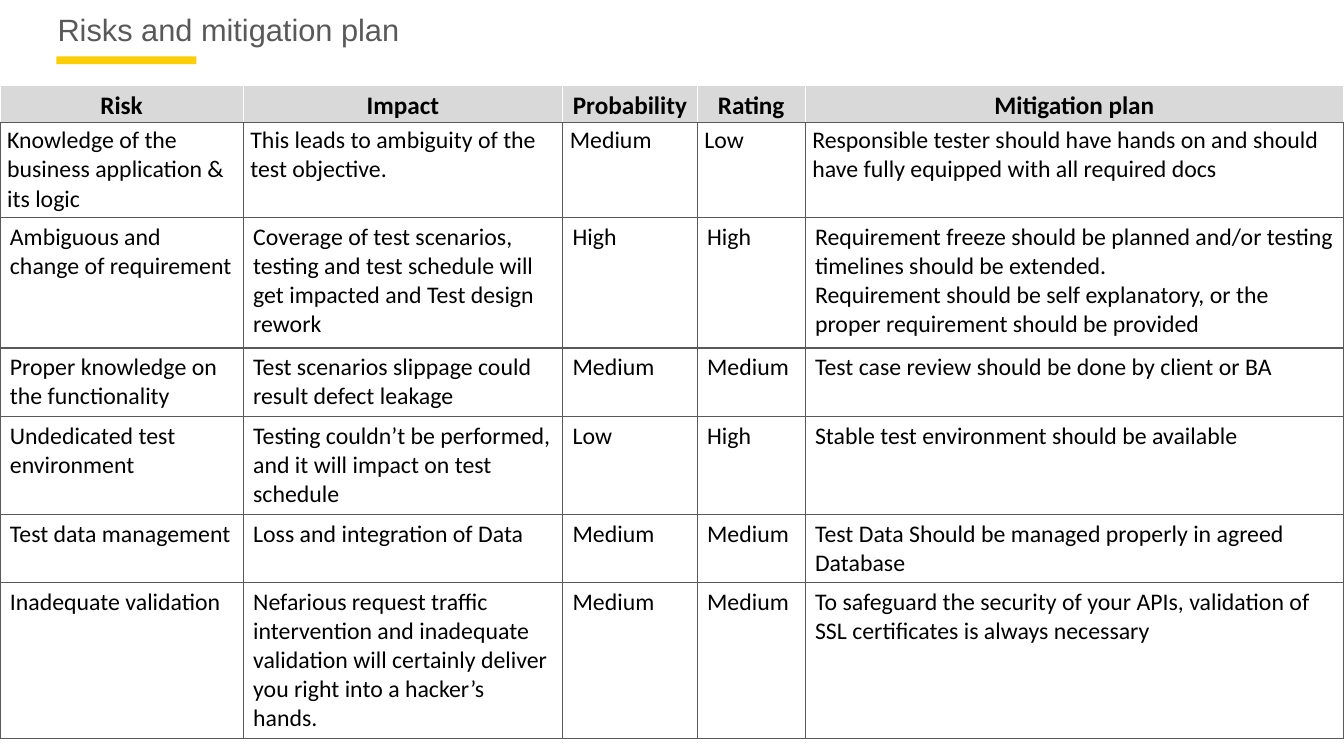
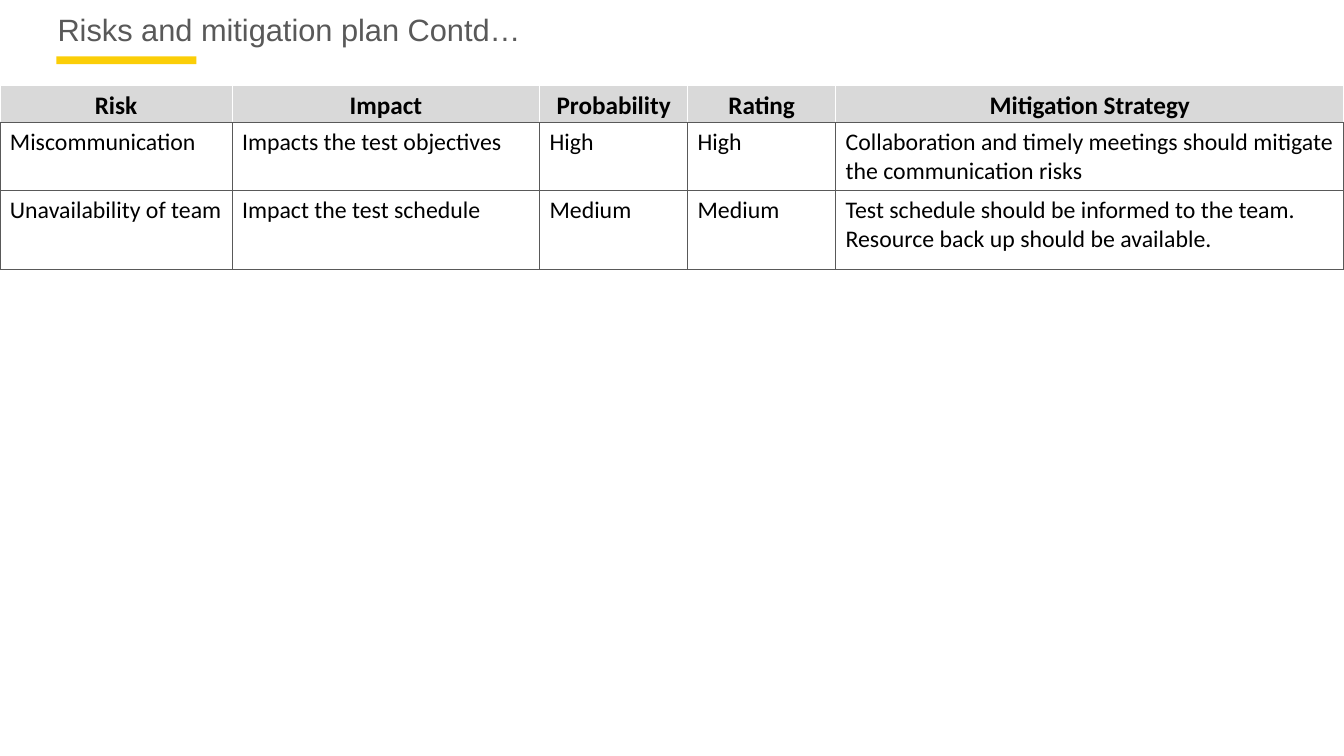
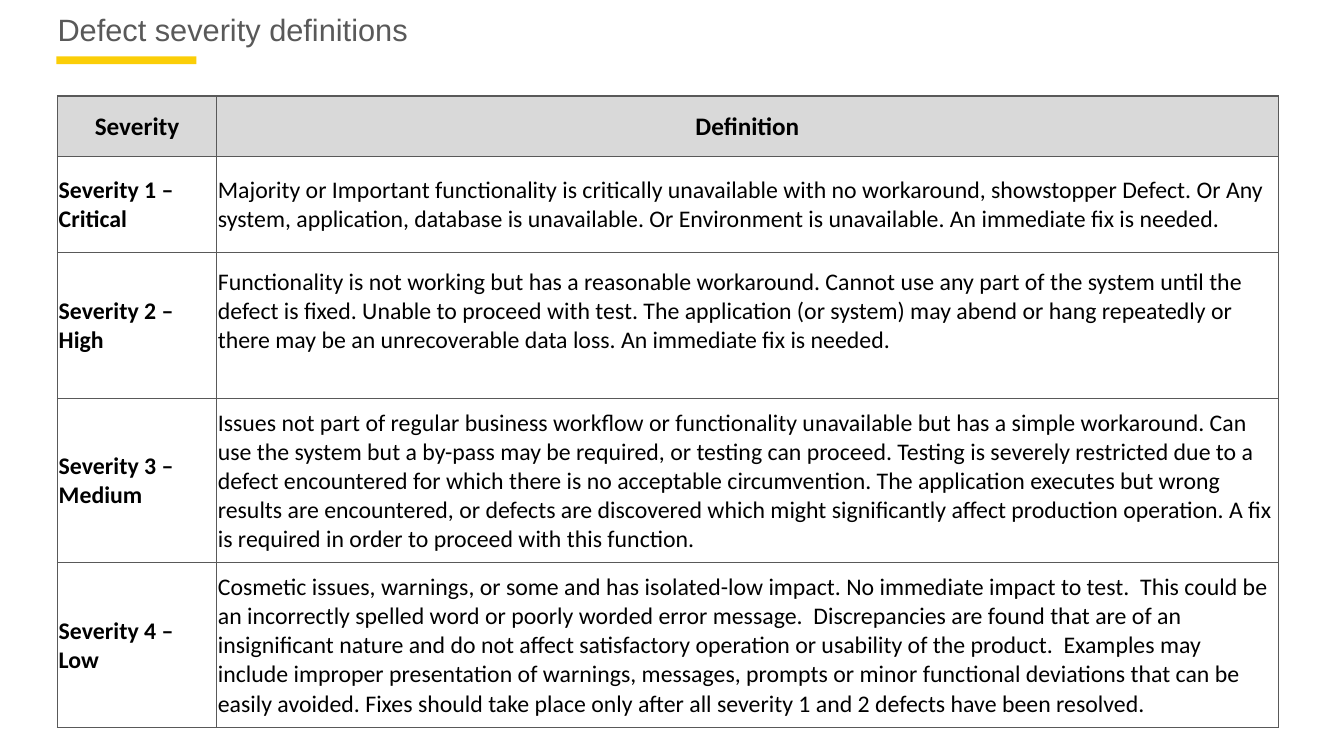
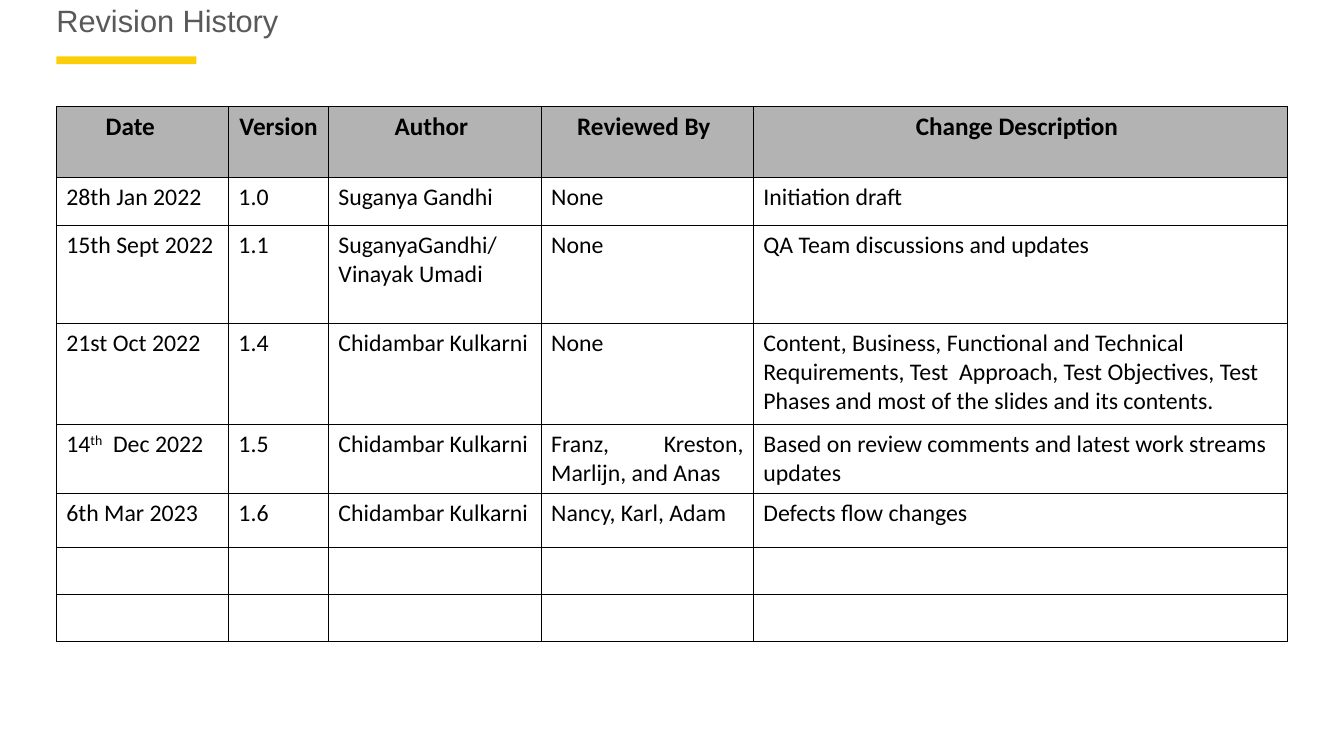
from lxml import etree
from pptx import Presentation
from pptx.dml.color import RGBColor
from pptx.enum import shapes, text
from pptx.oxml import ns
from pptx.util import Cm, Pt

COLOURS = {
    "accent": "FBCE07",
    "title": "595959",
    "ink": "000000",
    "rule": "595959",
    "paper": "FFFFFF",
    "header": "D9D9D9",
    "history header": "B3B3B3",
}
LEFT, CENTRE, JUSTIFY = text.PP_ALIGN.LEFT, text.PP_ALIGN.CENTER, text.PP_ALIGN.JUSTIFY
TOP, MIDDLE = text.MSO_ANCHOR.TOP, text.MSO_ANCHOR.MIDDLE

ACCENT_BOX = (1.42, 1.42, 3.53, 0.2)
TITLE_BOX = (1.45, 0.28, 22.48, 0.94)
DEFAULT_INSETS = (0.25, 0.13, 0.25, 0.13)
SEVERITY_INSETS = (0.03, 0.03, 0.03, 0)

RISK_LOOK = {
    "at": (0, 2.16),
    "header_insets": (0.15, 0, 0.15, 0),
    "header_spacing": 1.15,
    "header_rule": "paper",
}

SLIDES = [
    {
        "title": "Risks and mitigation plan",
        **RISK_LOOK,
        "columns": [6.13, 8.05, 3.39, 2.72, 13.57],
        "heights": [0.92, 2.39, 3.29, 1.71, 2.46, 1.72, 3.93],
        "row_insets": {1: (0.18, 0.1, 0.18, 0.1)},
        "rows": [
            ["Risk", "Impact", "Probability", "Rating", "Mitigation plan"],
            ["Knowledge of the business application & its logic",
             "This leads to ambiguity of the test objective.", "Medium", "Low",
             "Responsible tester should have hands on and should have fully equipped "
             "with all required docs"],
            ["Ambiguous and change of requirement",
             "Coverage of test scenarios, testing and test schedule will get impacted "
             "and Test design rework", "High", "High",
             "Requirement freeze should be planned and/or testing timelines should be "
             "extended.\nRequirement should be self explanatory, or the proper "
             "requirement should be provided"],
            ["Proper knowledge on the functionality",
             "Test scenarios slippage could result defect leakage", "Medium", "Medium",
             "Test case review should be done by client or BA"],
            ["Undedicated test environment",
             "Testing couldn’t be performed, and it will impact on test schedule",
             "Low", "High", "Stable test environment should be available"],
            ["Test data management", "Loss and integration of Data", "Medium", "Medium",
             "Test Data Should be managed properly in agreed Database"],
            ["Inadequate validation",
             "Nefarious request traffic intervention and inadequate validation will "
             "certainly deliver you right into a hacker’s hands.", "Medium", "Medium",
             "To safeguard the security of your APIs, validation of SSL certificates is "
             "always necessary"],
        ],
    },
    {
        "title": "Risks and mitigation plan Contd…",
        **RISK_LOOK,
        "columns": [5.85, 7.75, 3.73, 3.73, 12.81],
        "heights": [0.92, 1.72, 1.98],
        "rows": [
            ["Risk", "Impact", "Probability", "Rating", "Mitigation Strategy"],
            ["Miscommunication", "Impacts the test objectives", "High", "High",
             "Collaboration and timely meetings should mitigate the communication risks"],
            ["Unavailability of team", "Impact the test schedule", "Medium", "Medium",
             "Test schedule should be informed to the team. Resource back up should be "
             "available."],
        ],
    },
    {
        "title": "Defect severity definitions",
        "at": (1.45, 2.42),
        "columns": [4.01, 26.75],
        "heights": [1.52, 2.42, 3.68, 4.14, 4.15],
        "insets": SEVERITY_INSETS,
        "header_insets": SEVERITY_INSETS,
        "cell_insets": {(2, 1): (0.03, 0.03, 0.03, 0.74)},
        "anchor": MIDDLE,
        "bold_first": True,
        "rows": [
            ["Severity", "Definition"],
            ["Severity 1 – Critical",
             "Majority or Important functionality is critically unavailable with no "
             "workaround, showstopper Defect. Or Any system, application, database is "
             "unavailable. Or Environment is unavailable. An immediate fix is needed."],
            ["Severity 2 – High",
             "Functionality is not working but has a reasonable workaround. Cannot use "
             "any part of the system until the defect is fixed. Unable to proceed with "
             "test. The application (or system) may abend or hang repeatedly or there "
             "may be an unrecoverable data loss. An immediate fix is needed."],
            ["Severity 3 – Medium",
             "Issues not part of regular business workflow or functionality unavailable "
             "but has a simple workaround. Can use the system but a by-pass may be "
             "required, or testing can proceed. Testing is severely restricted due to a "
             "defect encountered for which there is no acceptable circumvention. The "
             "application executes but wrong results are encountered, or defects are "
             "discovered which might significantly affect production operation. A fix "
             "is required in order to proceed with this function."],
            ["Severity 4 – Low",
             "Cosmetic issues, warnings, or some and has isolated-low impact. No "
             "immediate impact to test.  This could be an incorrectly spelled word or "
             "poorly worded error message.  Discrepancies are found that are of an "
             "insignificant nature and do not affect satisfactory operation or "
             "usability of the product.  Examples may include improper presentation of "
             "warnings, messages, prompts or minor functional deviations that can be "
             "easily avoided. Fixes should take place only after all severity 1 and 2 "
             "defects have been resolved."],
        ],
    },
    {
        "title": "Revision History",
        "title_box": (1.42, 0.05, 31.04, 1.22),
        "at": (1.42, 2.68),
        "columns": [4.34, 2.52, 5.36, 5.35, 13.46],
        "heights": [1.79, 1.22, 2.46, 2.55, 1.73, 1.37, 1.18, 1.18],
        "header_insets": (0.25, 0.13, 0.43, 0.13),
        "cell_insets": {(0, 0): (0.25, 0.13, 0.86, 0.13), (0, 1): (0.13, 0.13, 0.13, 0.13)},
        "header_fill": "history header",
        "rule": "ink",
        "rule_width": 0.5,
        "aligns": [JUSTIFY] * 4 + [LEFT],
        "rows": [
            ["Date", "Version", "Author", "Reviewed By", "Change Description"],
            ["28th Jan 2022", "1.0", "Suganya Gandhi", "None", "Initiation draft"],
            ["15th Sept 2022", "1.1", "SuganyaGandhi/ Vinayak Umadi", "None",
             "QA Team discussions and updates"],
            ["21st Oct 2022", "1.4", "Chidambar Kulkarni", "None",
             "Content, Business, Functional and Technical Requirements, Test  Approach, "
             "Test Objectives, Test Phases and most of the slides and its contents."],
            ["14^th^  Dec 2022", "1.5", "Chidambar Kulkarni",
             "Franz, Kreston, Marlijn, and Anas",
             "Based on review comments and latest work streams updates"],
            ["6th Mar 2023", "1.6", "Chidambar Kulkarni", "Nancy, Karl, Adam",
             "Defects flow changes"],
            [""] * 5,
            [""] * 5,
        ],
    },
]


def rgb(name):
    return RGBColor.from_string(COLOURS[name])


def place(part, box):
    part.left, part.top, part.width, part.height = map(Cm, box)


def write(frame, words, size=17, font="Calibri", colour="ink", bold=False,
          align=LEFT, spacing=None):
    for number, line in enumerate(words.split("\n")):
        paragraph = frame.add_paragraph() if number else frame.paragraphs[0]
        paragraph.alignment = align
        if spacing:
            paragraph.line_spacing = spacing
        paragraph.font.size = Pt(size)
        for index, piece in enumerate(line.split("^")):
            if not piece:
                continue
            run = paragraph.add_run()
            run.text = piece
            run.font.size, run.font.name, run.font.bold = Pt(size), font, bold
            run.font.color.rgb = rgb(colour)
            if index % 2:
                run._r.get_or_add_rPr().set("baseline", "30000")


def draw_borders(cell, sides, width):
    properties = cell._tc.get_or_add_tcPr()
    for side in "LRTB":
        line = etree.SubElement(properties, ns.qn(f"a:ln{side}"), w=str(Pt(width)))
        fill = etree.SubElement(line, ns.qn("a:solidFill"))
        etree.SubElement(fill, ns.qn("a:srgbClr"), val=COLOURS[sides[side]])


def add_grid(slide, at, columns, heights, rows, header_insets, insets=DEFAULT_INSETS,
             row_insets={}, cell_insets={}, header_spacing=None, header_fill="header",
             rule="rule", header_rule=None, rule_width=1, anchor=TOP,
             bold_first=False, aligns=None):
    size = map(Cm, (*at, sum(columns), sum(heights)))
    table = slide.shapes.add_table(len(rows), len(columns), *size).table
    table.first_row = table.horz_banding = False
    for column, width in zip(table.columns, columns):
        column.width = Cm(width)
    for row, height in zip(table.rows, heights):
        row.height = Cm(height)
    for r, row in enumerate(rows):
        header = r == 0
        edge = header_rule if header and header_rule else rule
        row_inset = header_insets if header else row_insets.get(r, insets)
        for c, words in enumerate(row):
            cell = table.cell(r, c)
            inset = cell_insets.get((r, c), row_inset)
            (cell.margin_left, cell.margin_top,
             cell.margin_right, cell.margin_bottom) = map(Cm, inset)
            cell.vertical_anchor = anchor
            draw_borders(cell, {"L": edge, "R": edge, "T": edge, "B": rule}, rule_width)
            cell.fill.solid()
            cell.fill.fore_color.rgb = rgb(header_fill if header else "paper")
            if header:
                write(cell.text_frame, words, size=18, bold=True, align=CENTRE,
                      spacing=header_spacing)
            else:
                write(cell.text_frame, words, bold=bold_first and c == 0,
                      align=aligns[c] if aligns else LEFT)


def add_title(slide, words, box):
    title = slide.shapes.title
    place(title, box)
    frame = title.text_frame
    frame.margin_left = frame.margin_top = frame.margin_right = frame.margin_bottom = 0
    frame.vertical_anchor = TOP
    frame.auto_size = text.MSO_AUTO_SIZE.NONE
    write(frame, words, size=22, font="Arial", colour="title")


def add_layout_accent(slide):
    accent = slide.shapes.add_shape(shapes.MSO_SHAPE.RECTANGLE, *map(Cm, ACCENT_BOX))
    accent.shadow.inherit = False
    accent.fill.solid()
    accent.fill.fore_color.rgb = rgb("accent")
    accent.line.fill.background()
    slide.slide_layout.shapes._spTree.append(accent._element)


def main():
    deck = Presentation()
    deck.slide_width, deck.slide_height = Cm(33.87), Cm(19.05)
    layout = deck.slide_layouts[5]
    place(layout.placeholders[0], TITLE_BOX)
    for number, content in enumerate(SLIDES):
        slide = deck.slides.add_slide(layout)
        if number == 0:
            add_layout_accent(slide)
        grid = dict(content)
        add_title(slide, grid.pop("title"), grid.pop("title_box", TITLE_BOX))
        add_grid(slide, **grid)
    deck.save("out.pptx")


if __name__ == "__main__":
    main()
